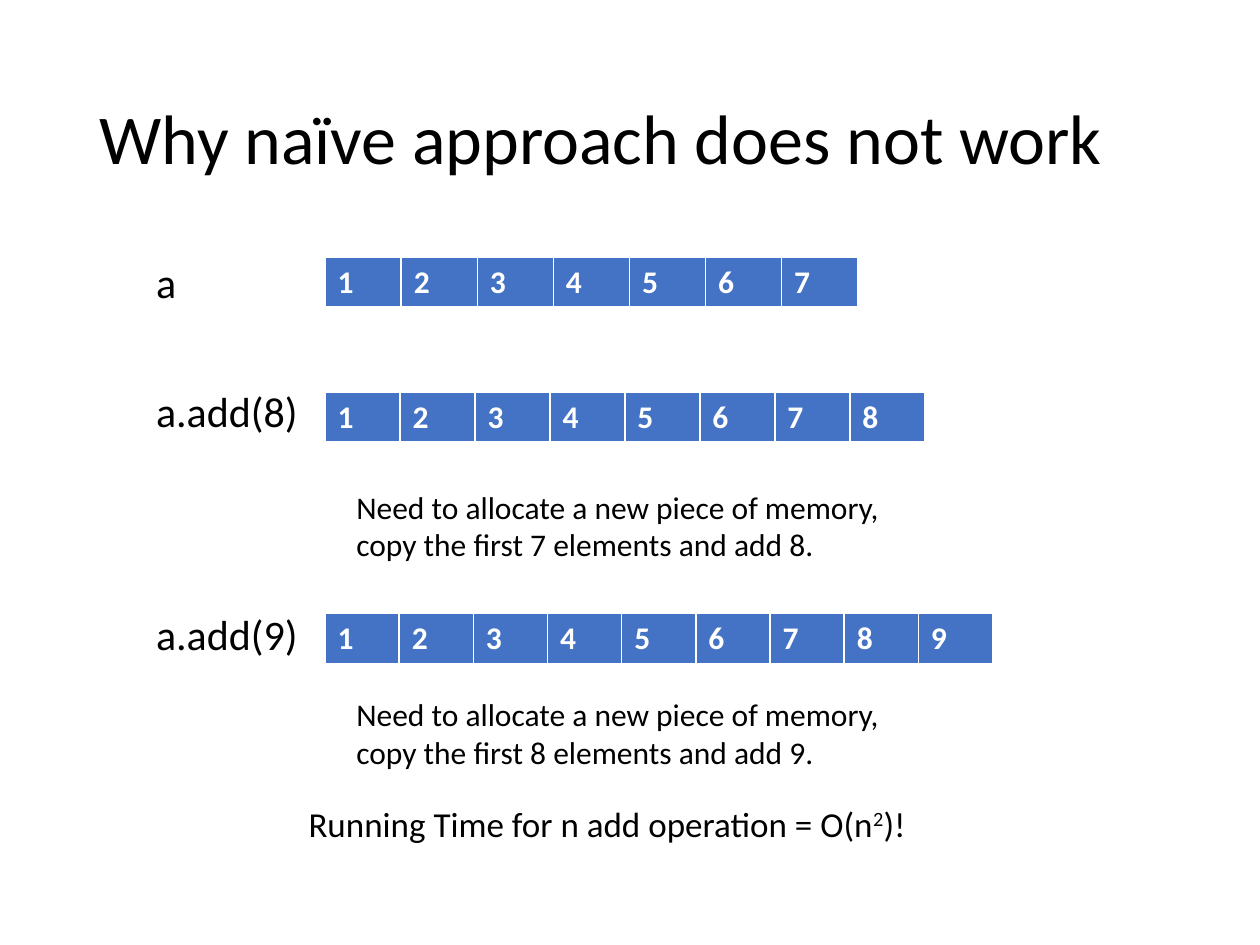
from lxml.etree import SubElement
from pptx import Presentation
from pptx.dml.color import RGBColor
from pptx.enum.text import MSO_ANCHOR as Anchor, MSO_AUTO_SIZE as Fit, PP_ALIGN as Align
from pptx.oxml.ns import qn
from pptx.util import Inches, Pt

BLACK, WHITE, BLUE = "000000", "FFFFFF", "4472C4"
SIDES = {"a:lnL": 1, "a:lnR": 1, "a:lnT": 1, "a:lnB": 3}


def color(value):
    """Turn a hex string into a colour."""
    return RGBColor.from_string(value)


def style(frame, size, tint=BLACK, bold=False):
    """Format every run of a text frame."""
    for para in frame.paragraphs:
        for run in para.runs:
            font = run.font
            font.name, font.size, font.bold = "Calibri", Pt(size), bold
            font.color.rgb = color(tint)


def place(shape, box):
    """Move a shape to a box given in inches."""
    shape.left, shape.top, shape.width, shape.height = map(Inches, box)


def add_title(slide, box, text):
    """Fill the title placeholder."""
    title = slide.shapes.title
    place(title, box)
    frame = title.text_frame
    frame.text = text
    frame.vertical_anchor = Anchor.MIDDLE
    frame.paragraphs[0].alignment = Align.LEFT
    frame.paragraphs[0].line_spacing = 0.9
    style(frame, 40)


def add_text(slide, box, text, size):
    """Add an unwrapped text box and return its paragraph."""
    frame = slide.shapes.add_textbox(*map(Inches, box)).text_frame
    frame.word_wrap = False
    frame.auto_size = Fit.SHAPE_TO_FIT_TEXT
    para = frame.paragraphs[0]
    para.text = text
    style(frame, size)
    return para


def add_edges(cell):
    """Draw white borders around a cell."""
    props = cell._tc.get_or_add_tcPr()
    for side, width in SIDES.items():
        line = SubElement(props, qn(side), w=str(Pt(width)))
        fill = SubElement(line, qn("a:solidFill"))
        SubElement(fill, qn("a:srgbClr"), val=WHITE)


def add_array(slide, box, count):
    """Draw an array holding 1 to count as a one-row table."""
    table = slide.shapes.add_table(1, count, *map(Inches, box)).table
    for index, cell in enumerate(table.iter_cells(), 1):
        add_edges(cell)
        cell.fill.solid()
        cell.fill.fore_color.rgb = color(BLUE)
        cell.text_frame.text = str(index)
        style(cell.text_frame, 18, WHITE, True)


def add_step(slide, left, top, label, lift, count, width):
    """Place a label with its array to the right."""
    add_text(slide, (left, top - lift, 1.34, 0.5), label, 24)
    add_array(slide, (left + 1.44, top, width, 0.41), count)


def add_note(slide, left, top, count):
    """Explain the cost of adding the last element."""
    text = ("Need to allocate a new piece of memory,\v"
            f"copy the first {count - 1} elements and add {count}.")
    add_text(slide, (left, top, 4.46, 0.71), text, 18)


def add_cost(slide, box):
    """State the running time with a raised exponent."""
    para = add_text(slide, box, "Running Time for n add operation = O(n", 20)
    power, end = para.add_run(), para.add_run()
    power.text, end.text = "2", ")!"
    style(slide.shapes[-1].text_frame, 20)
    power._r.get_or_add_rPr().set("baseline", "30000")


def build():
    """Build and save the slide."""
    deck = Presentation()
    deck.slide_width, deck.slide_height = Inches(10), Inches(7.5)
    slide = deck.slides.add_slide(deck.slide_layouts[5])
    add_title(slide, (0.69, 0.4, 8.62, 1.45), "Why naïve approach does not work")
    steps = [("a", 2.04, 0.05, 7, 4.23), ("a.add(8)", 3.11, 0.1, 8, 4.76),
             ("a.add(9)", 4.87, 0.09, 9, 5.3)]
    for label, top, lift, count, width in steps:
        add_step(slide, 1.14, top, label, lift, count, width)
    for top, count in [(3.82, 8), (5.47, 9)]:
        add_note(slide, 2.73, top, count)
    add_cost(slide, (2.35, 6.32, 4.99, 0.44))
    deck.save("out.pptx")


build()
